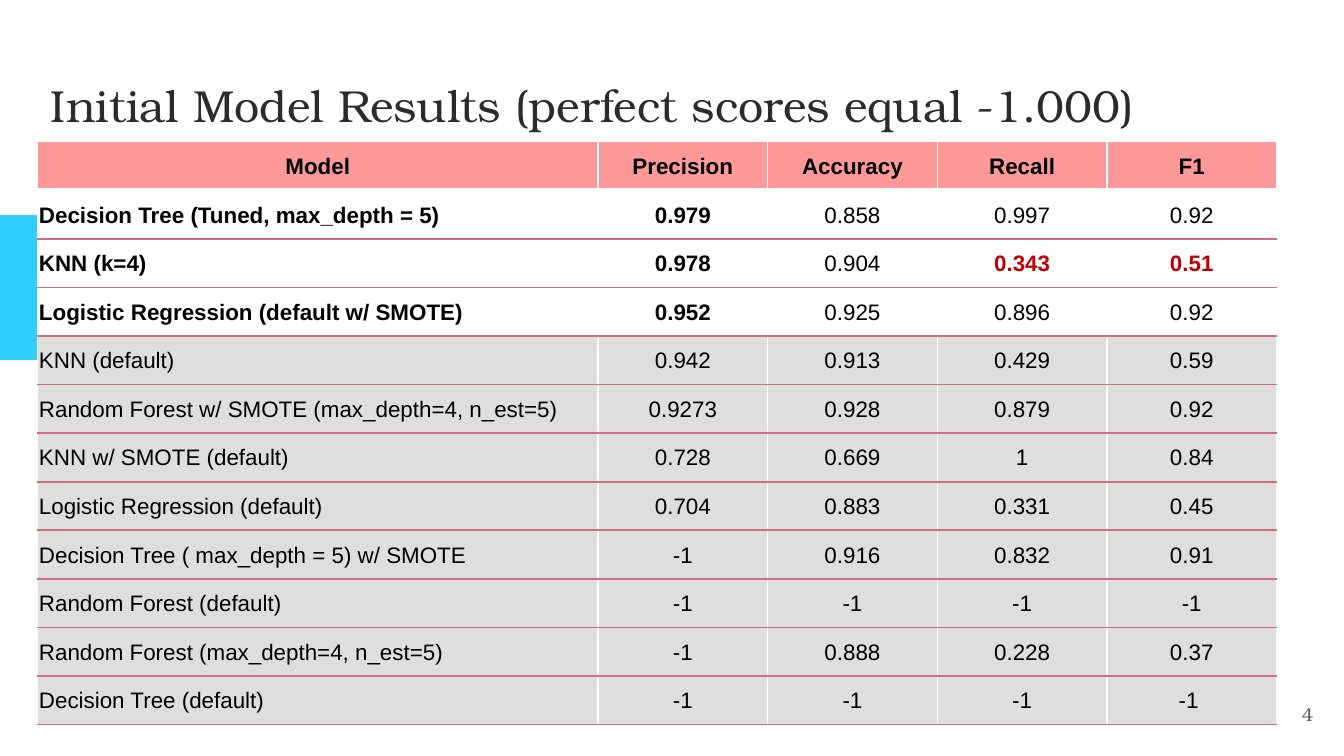
"""Build a slide with a table of initial model results."""
from pptx import Presentation
from pptx.dml.color import RGBColor
from pptx.enum.shapes import MSO_SHAPE
from pptx.enum.text import MSO_ANCHOR, PP_ALIGN
from pptx.oxml.ns import qn
from pptx.util import Pt
from lxml.etree import SubElement

COLORS = {
    "title": "2B2B2B",
    "number": "595959",
    "accent": "32CEFE",
    "header": "FD0000",
    "row": "DEDEDE",
    "rule": "D06F83",
    "white": "FFFFFF",
    "text": "000000",
    "warning": "C00000",
}
SERIF = "TeX Gyre Bonum"
HEADINGS = ["Model", "Precision", "Accuracy", "Recall", "F1"]
RESULTS = [
    ["Decision Tree (Tuned, max_depth = 5)", "0.979", "0.858", "0.997", "0.92"],
    ["KNN (k=4)", "0.978", "0.904", "0.343", "0.51"],
    ["Logistic Regression (default w/ SMOTE)", "0.952", "0.925", "0.896", "0.92"],
    ["KNN (default)", "0.942", "0.913", "0.429", "0.59"],
    ["Random Forest w/ SMOTE (max_depth=4, n_est=5)", "0.9273", "0.928", "0.879", "0.92"],
    ["KNN w/ SMOTE (default)", "0.728", "0.669", "1", "0.84"],
    ["Logistic Regression (default)", "0.704", "0.883", "0.331", "0.45"],
    ["Decision Tree ( max_depth = 5) w/ SMOTE", "-1", "0.916", "0.832", "0.91"],
    ["Random Forest (default)", "-1", "-1", "-1", "-1"],
    ["Random Forest (max_depth=4, n_est=5)", "-1", "0.888", "0.228", "0.37"],
    ["Decision Tree (default)", "-1", "-1", "-1", "-1 "],
]
BEST_ROWS = 3
WARNING_CELLS = {(2, 3), (2, 4)}


def write_text(frame, text, font="Arial", size=12, color="text", bold=False, align=PP_ALIGN.LEFT):
    paragraph = frame.paragraphs[0]
    paragraph.alignment = align
    run = paragraph.add_run()
    run.text = text
    run.font.name = font
    run.font.size = Pt(size)
    run.font.bold = bold
    run.font.color.rgb = RGBColor.from_string(COLORS[color])


def add_border(cell, side, color, width):
    line = SubElement(cell._tc.get_or_add_tcPr(), qn(f"a:ln{side}"), w=str(Pt(width)))
    fill = SubElement(line, qn("a:solidFill"))
    SubElement(fill, qn("a:srgbClr"), val=COLORS[color])


presentation = Presentation()
presentation.slide_width = Pt(720)
presentation.slide_height = Pt(405)
slide = presentation.slides.add_slide(presentation.slide_layouts[6])

text_boxes = [
    ("Initial Model Results (perfect scores equal -1.000)", (20.16, 0, 699.84, 77.76),
     MSO_ANCHOR.BOTTOM, {"size": 24, "color": "title"}),
    ("4", (667.44, 367.2, 43.2, 30.96),
     MSO_ANCHOR.MIDDLE, {"size": 10, "color": "number", "align": PP_ALIGN.RIGHT}),
]
for text, bounds, anchor, text_format in text_boxes:
    frame = slide.shapes.add_textbox(*map(Pt, bounds)).text_frame
    frame.word_wrap = True
    frame.vertical_anchor = anchor
    frame.margin_left = frame.margin_right = Pt(7.2)
    frame.margin_top = frame.margin_bottom = Pt(7.2)
    write_text(frame, text, font=SERIF, **text_format)

accent = slide.shapes.add_shape(MSO_SHAPE.RECTANGLE, Pt(0), Pt(115.2), Pt(20.16), Pt(77.76))
accent.shadow.inherit = False
accent.fill.solid()
accent.fill.fore_color.rgb = RGBColor.from_string(COLORS["accent"])
accent.line.fill.background()

rows = [HEADINGS] + RESULTS
table = slide.shapes.add_table(
    len(rows), len(HEADINGS), Pt(20.16), Pt(75.9), Pt(663.84), Pt(312.48)
).table
table.horz_banding = False
for column_index, column in enumerate(table.columns):
    column.width = Pt(90.9 if column_index else 300.24)

for row_index, values in enumerate(rows):
    table.rows[row_index].height = Pt(26.04)
    is_header = row_index == 0
    is_best = 1 <= row_index <= BEST_ROWS
    for column_index, value in enumerate(values):
        cell = table.cell(row_index, column_index)
        cell.vertical_anchor = MSO_ANCHOR.MIDDLE
        cell.margin_left = cell.margin_right = cell.margin_top = Pt(0.72)
        cell.margin_bottom = Pt(0)
        is_warning = (row_index, column_index) in WARNING_CELLS
        write_text(
            cell.text_frame,
            value,
            color="warning" if is_warning else "text",
            bold=is_header or is_warning or (is_best and column_index < 2),
            align=PP_ALIGN.CENTER if is_header or column_index else PP_ALIGN.LEFT,
        )
        add_border(cell, "L", "white", 1)
        add_border(cell, "R", "white", 1)
        add_border(cell, "T", "white" if row_index < 2 else "rule", 1)
        add_border(cell, "B", "white" if is_header else "rule", 3 if is_header else 1)
        if is_best:
            cell.fill.background()
            continue
        cell.fill.solid()
        cell.fill.fore_color.rgb = RGBColor.from_string(COLORS["header" if is_header else "row"])
        if is_header:
            header_color = cell._tc.tcPr.find(f"{qn('a:solidFill')}/{qn('a:srgbClr')}")
            SubElement(header_color, qn("a:alpha"), val="40000")

presentation.save("out.pptx")
